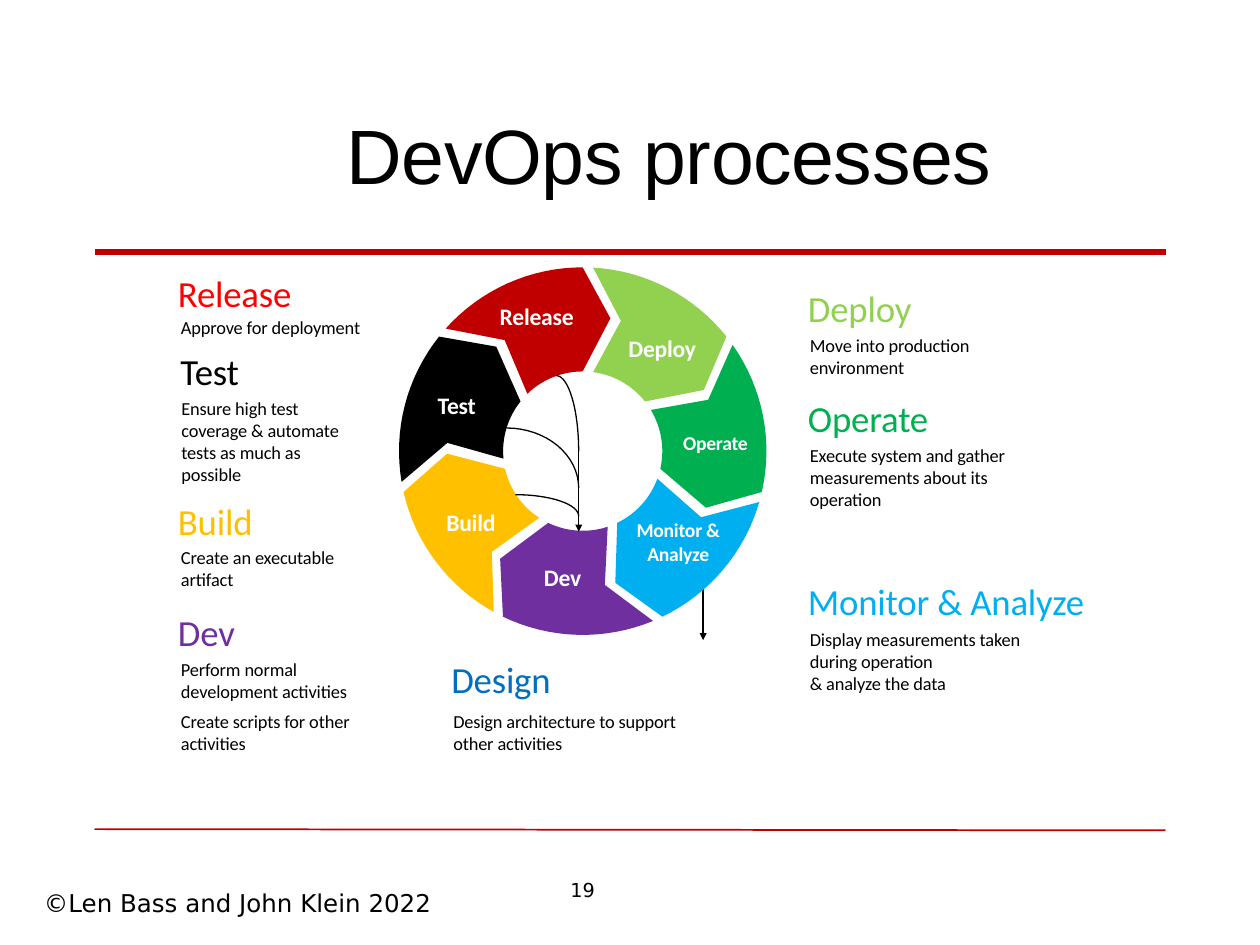
import math

from lxml import etree
from pptx import Presentation
from pptx import util as u
from pptx.dml.color import RGBColor
from pptx.enum import shapes, text
from pptx.oxml.ns import qn

Pt = u.Pt
CENTER = text.PP_ALIGN.CENTER


def rgb(hex_str):
    return RGBColor.from_string(hex_str)


def set_attrs(obj, values):
    for name, value in values.items():
        setattr(obj, name, value)


class Deck:
    body_font = "Calibri"
    black = "000000"
    white = "FFFFFF"
    red = "C00000"

    def __init__(self, width, height):
        self.prs = Presentation()
        set_attrs(self.prs, {"slide_width": Pt(width), "slide_height": Pt(height)})
        self.s = None

    def add_slide(self):
        self.s = self.prs.slides.add_slide(self.prs.slide_layouts[5])

    def frame(self, tf, top=0, **options):
        margins = {"margin_left": 0, "margin_right": 0,
                   "margin_top": Pt(top), "margin_bottom": 0}
        set_attrs(tf, {**margins, "auto_size": text.MSO_AUTO_SIZE.NONE, **options})

    def style_text(self, p, content, color, size, bold=False, font=None,
                   align=text.PP_ALIGN.LEFT, before=0, left=0, right=0, track=-5):
        set_attrs(p, {"alignment": align, "space_before": Pt(before)})
        pPr = p._p.get_or_add_pPr()
        for name, value in {"marL": left, "marR": right, "indent": 0}.items():
            pPr.set(name, str(Pt(value)))
        r = p.add_run()
        r.text = content
        set_attrs(r.font, {"name": font or self.body_font, "size": Pt(size), "bold": bold})
        r.font.color.rgb = rgb(color)
        r._r.get_or_add_rPr().set("spc", str(track))

    def title(self, content, x, y, w, h, left):
        sp = self.s.shapes.title
        set_attrs(sp, {"left": Pt(x), "top": Pt(y), "width": Pt(w), "height": Pt(h)})
        self.frame(sp.text_frame, 0.8, word_wrap=True,
                   vertical_anchor=text.MSO_ANCHOR.MIDDLE)
        self.style_text(sp.text_frame.paragraphs[0], content, self.black, 44,
                        font="Arial", align=CENTER, left=left, track=-25)

    def box(self, x, y, w, h):
        return self.s.shapes.add_textbox(Pt(x), Pt(y), Pt(w), Pt(h)).text_frame

    def footer(self, content, x, y, w, h, size, align):
        tf = self.box(x, y, w, h)
        tf.word_wrap = True
        self.style_text(tf.paragraphs[0], content, self.black, size,
                        font="DejaVu Sans", align=align, track=0)

    def label(self, lines, x, y, w, h, size):
        tf = self.box(x, y, w, h)
        self.frame(tf, 0.8, word_wrap=False)
        for i, line in enumerate(lines):
            p = tf.add_paragraph() if i else tf.paragraphs[0]
            self.style_text(p, line, self.white, size, bold=True, align=CENTER, track=-10)

    def note(self, heading, color, x, y, w, h, top, left, items, right=0):
        tf = self.box(x, y, w, h)
        self.frame(tf, top, word_wrap=True)
        self.style_text(tf.paragraphs[0], heading, color, 21, left=0.9, track=-10)
        for content, before in items:
            self.style_text(tf.add_paragraph(), content, self.black, 10.5,
                            before=before, left=left, right=right)

    def line(self, x1, y1, x2, y2, color, width, arrow=False):
        c = self.s.shapes.add_connector(shapes.MSO_CONNECTOR.STRAIGHT,
                                        Pt(x1), Pt(y1), Pt(x2), Pt(y2))
        c.line.color.rgb = rgb(color)
        c.line.width = Pt(width)
        spPr = c._element.spPr
        if arrow:
            etree.SubElement(spPr.find(qn("a:ln")), qn("a:tailEnd"),
                             type="triangle", w="sm", len="sm")
        etree.SubElement(spPr, qn("a:effectLst"))

    def outline(self, points, fill=None, stroke=None):
        pts = [(Pt(x), Pt(y)) for x, y in points]
        fb = self.s.shapes.build_freeform(*pts[0])
        fb.add_line_segments(pts[1:], close=fill is not None)
        sp = fb.convert_to_shape()
        sp.shadow.inherit = False
        if fill:
            sp.fill.solid()
            sp.fill.fore_color.rgb = rgb(fill)
            sp.line.fill.background()
        else:
            sp.fill.background()
            sp.line.color.rgb = rgb(stroke)
            sp.line.width = Pt(0.75)


CX, CY = 333, 257.8
OUTER, INNER, TIP = 105, 45.5, 77.5


def polar(radius, degrees):
    """Point at a clockwise angle from the top of the ring."""
    a = math.radians(degrees)
    return CX + radius * math.sin(a), CY - radius * math.cos(a)


def ring_arrow(end, steps=16):
    """Chevron segment of the ring whose arcs stop at the angle end."""
    outer = [polar(OUTER, end - 48.2 * (1 - i / steps)) for i in range(steps + 1)]
    inner = [polar(INNER, end - 44 * i / steps) for i in range(steps + 1)]
    return outer + [polar(TIP, end + 11.8)] + inner + [polar(TIP, end - 35.1)]


def quarter(x1, y1, x2, y2, steps=16):
    """Quarter ellipse that leaves sideways and arrives going down."""
    angles = [math.pi / 2 * i / steps for i in range(steps + 1)]
    return [(x1 + (x2 - x1) * math.sin(a), y1 + (y2 - y1) * (1 - math.cos(a)))
            for a in angles]


# Ring order, clockwise: colour, label lines, label box, label size
STAGES = [
    ("C00000", ["Release"], (284.4, 172, 44.6, 17.3), 13.5),
    ("92D050", ["Deploy"], (358, 190, 41, 17.3), 13.5),
    ("00AF50", ["Operate"], (389, 245.5, 39.6, 14.4), 11.2),
    ("00AFEF", ["Monitor &", "Analyze"], (362.4, 295.2, 50.4, 28), 11.2),
    ("6F2F9F", ["Dev"], (310, 321.1, 23, 17.3), 13.5),
    ("FFC000", ["Build"], (254, 289.5, 30.2, 17.3), 13.5),
    ("000000", ["Test"], (249, 222.5, 24, 17.3), 13.5),
]

# Heading, colour, box, top inset, body indent, (body text, space before)
NOTES = [
    ("Release", "FF0000", (100.8, 152, 108, 41.8), 2.7, 2.6,
     [("Approve for deployment", 1)]),
    ("Test", "000000", (102.2, 194.4, 93.6, 83.5), 5.2, 1.5,
     [("Ensure high test coverage & automate tests as much as possible", 2.3)]),
    ("Build", "FFC000", (100.8, 280.1, 92.9, 57.6), 4.8, 2.6,
     [("Create an executable artifact", 2.1)]),
    ("Dev", "6F2F9F", (100.8, 342.7, 102.2, 89.3), 5.6, 2.6,
     [("Perform normal development activities", 2.5),
      ("Create scripts for other activities", 4.5)]),
    ("Deploy", "92D050", (460.8, 157.7, 95.8, 58.3), 5.6, 2,
     [("Move into production environment", 2.5)]),
    ("Operate", "00AF50", (460.8, 221, 116.6, 70.6), 5.2, 2,
     [("Execute system and gather measurements about its operation", 2.3)]),
    ("Design", "006FC0", (257, 362.9, 133.2, 69.1), 12.2, 2,
     [("Design architecture to support other activities", 5.8)]),
    ("Monitor & Analyze", "00AFEF", (460.8, 323.3, 161.3, 74.2), 7.3, 2,
     [("Display measurements taken during operation", 3.4),
      ("& analyze the data", 0)], 30),
]


def main():
    d = Deck(720, 540)
    d.add_slide()

    # Rules, page number and copyright line
    d.line(54, 144, 666, 144, d.red, 3)
    d.line(54, 473.8, 666, 474.5, d.red, 1)
    d.footer("19", 288, 498.2, 90, 20.9, 11, CENTER)
    d.footer("©Len Bass and John Klein 2022", 18, 504, 360, 24.5, 14,
             text.PP_ALIGN.LEFT)
    d.title("DevOps processes", 39.6, 60.5, 543.6, 54, left=141.8)

    # Ring of stages, with the arrow leaving Monitor & Analyze behind it
    d.line(401.8, 335.5, 401.8, 365.8, d.black, 0.75, arrow=True)
    for i, (color, *_) in enumerate(STAGES):
        d.outline(ring_arrow(i * 360 / len(STAGES)), fill=color)
    for _, lines, place, size in STAGES:
        d.label(lines, *place, size)

    # Descriptions around the ring
    for heading, color, place, *rest in NOTES:
        d.note(heading, color, *place, *rest)

    # Feedback from Release, Test and Build to Dev
    dev_x = 330.7
    for x, y, end in [(317.8, 214.6, 258), (289.4, 244.6, 279), (294.5, 282.7, 295)]:
        d.outline(quarter(x, y, dev_x, end), stroke=d.black)
    d.line(dev_x, 258, dev_x, 303.8, d.black, 0.75, arrow=True)

    d.prs.save("out.pptx")


if __name__ == "__main__":
    main()
